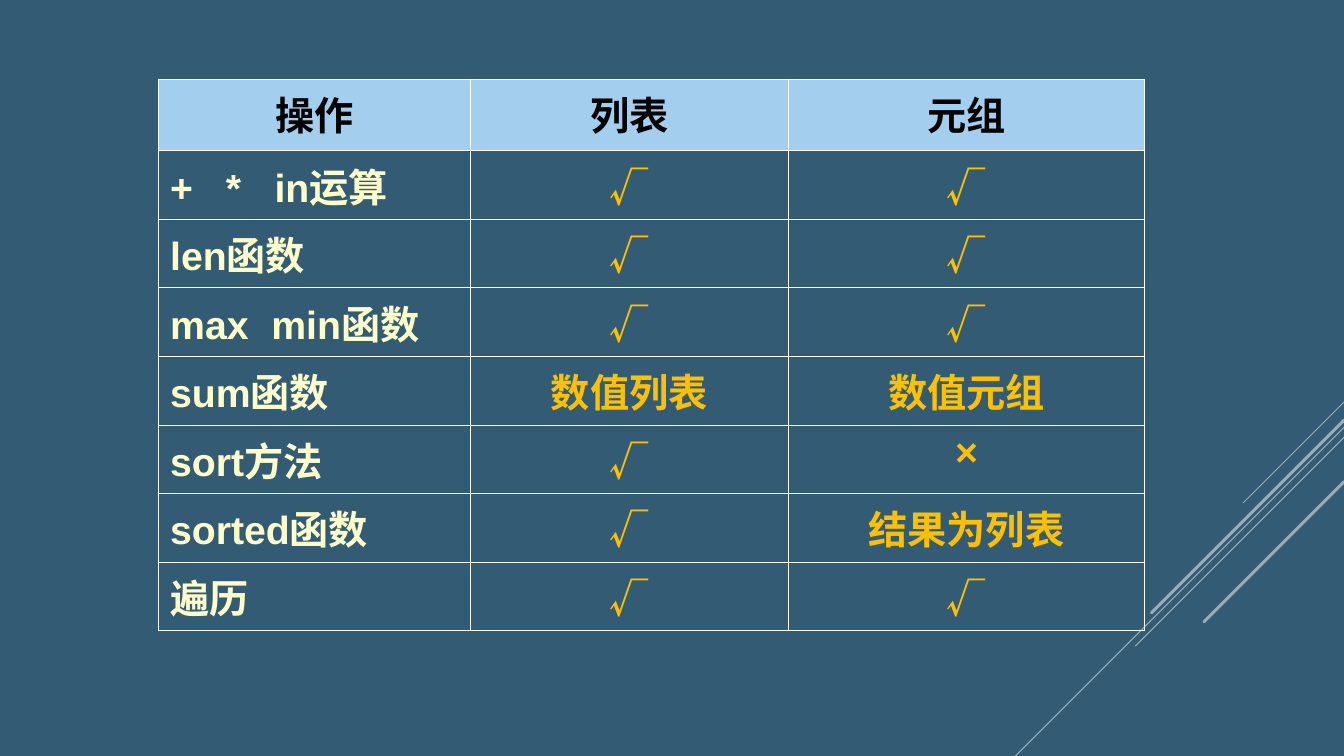
from lxml.etree import SubElement
from pptx import Presentation
from pptx.dml.color import RGBColor
from pptx.enum.shapes import MSO_CONNECTOR as Connector
from pptx.enum.text import PP_ALIGN as Align
from pptx.oxml.ns import qn
from pptx.util import Cm, Pt

WIDTH, HEIGHT = 33.87, 19.05
COLUMNS = [7.86, 8.01, 8.99]
ROWS = [1.8] + [1.22] * 7
HEADINGS = ["操作", "列表", "元组"]
OPERATIONS = [
    ("+\t*\tin运算", "√", "√"),
    ("len函数", "√", "√"),
    ("max\tmin函数", "√", "√"),
    ("sum函数", "数值列表", "数值元组"),
    ("sort方法", "√", "×"),
    ("sorted函数", "√", "结果为列表"),
    ("遍历", "√", "√"),
]
TAB_STOPS = {"+\t*\tin运算": [1.4, 2.63], "max\tmin函数": [2.55]}
DIAGONALS = [
    (10.13, 2.54, 0.75),
    (10.77, 8.28, 0.75),
    (11.02, 5.26, 0.75),
    (10.59, 4.85, 2.25),
    (12.14, 3.53, 2.25),
]


def color(value):
    return RGBColor.from_string(value)


class SlidePainter:
    """Holds the style and the current slide, and draws each kind of element."""

    latin, chinese = "Arial", "Noto Sans CJK SC"
    size = 28
    ground, white, black = "335B74", "FFFFFF", "000000"
    header, label, mark = "A3CEED", "FFFFCC", "FFC000"

    def __init__(self, page):
        self.page = page
        fill = page.background.fill
        fill.solid()
        fill.fore_color.rgb = color(self.ground)

    def diagonal(self, top, length, weight):
        line = self.page.shapes.add_connector(
            Connector.STRAIGHT, Cm(WIDTH), Cm(top), Cm(WIDTH - length), Cm(top + length))
        line.line.width = Pt(weight)
        line.line.color.rgb = color(self.white)
        outline = line.get_or_add_ln()
        outline.set("cap", "rnd")
        SubElement(outline.find(".//" + qn("a:srgbClr")), qn("a:alpha"), val="50000")
        SubElement(line.element.spPr, qn("a:effectLst"))

    def table(self, left, top, height):
        frame = self.page.shapes.add_table(
            len(ROWS), len(COLUMNS), Cm(left), Cm(top), Cm(sum(COLUMNS)), Cm(height))
        grid = frame.table
        grid.first_row = grid.horz_banding = False
        for column, width in zip(grid.columns, COLUMNS):
            column.width = Cm(width)
        for row, tall in zip(grid.rows, ROWS):
            row.height = Cm(tall)
        for r, texts in enumerate([HEADINGS, *OPERATIONS]):
            for c, text in enumerate(texts):
                self.cell(grid.cell(r, c), text, r == 0, c == 0)

    def cell(self, box, text, heading, first):
        box.margin_left = box.margin_right = Cm(0.3)
        box.margin_top = box.margin_bottom = Cm(0.15)
        self.borders(box)
        if heading:
            box.fill.solid()
            box.fill.fore_color.rgb = color(self.header)
        else:
            box.fill.background()
        para = box.text_frame.paragraphs[0]
        para.alignment = Align.LEFT if first and not heading else Align.CENTER
        self.tabs(para, TAB_STOPS.get(text, []))
        tint = self.black if heading else self.label if first else self.mark
        symbol = heading or text == "√"
        self.span(para, text, tint, self.chinese if symbol else self.latin)

    def borders(self, box):
        props = box._tc.get_or_add_tcPr()
        for side in ("lnL", "lnR", "lnT", "lnB"):
            edge = SubElement(props, qn("a:" + side), w=str(Pt(0.75)))
            solid = SubElement(edge, qn("a:solidFill"))
            SubElement(solid, qn("a:srgbClr"), val=self.white)

    def tabs(self, para, stops):
        if stops:
            tab_list = SubElement(para._p.get_or_add_pPr(), qn("a:tabLst"))
            for stop in stops:
                SubElement(tab_list, qn("a:tab"), pos=str(Cm(stop)), algn="l")

    def span(self, para, text, tint, font):
        span = para.add_run()
        span.text = text
        span.font.size = Pt(self.size)
        span.font.bold = True
        span.font.color.rgb = color(tint)
        span.font.name = font
        SubElement(span._r.get_or_add_rPr(), qn("a:ea"), typeface=self.chinese)


def main():
    deck = Presentation()
    deck.slide_width, deck.slide_height = Cm(WIDTH), Cm(HEIGHT)
    painter = SlidePainter(deck.slides.add_slide(deck.slide_layouts[6]))
    for diagonal in DIAGONALS:
        painter.diagonal(*diagonal)
    painter.table(3.99, 2, 12.22)
    deck.save("out.pptx")


if __name__ == "__main__":
    main()
